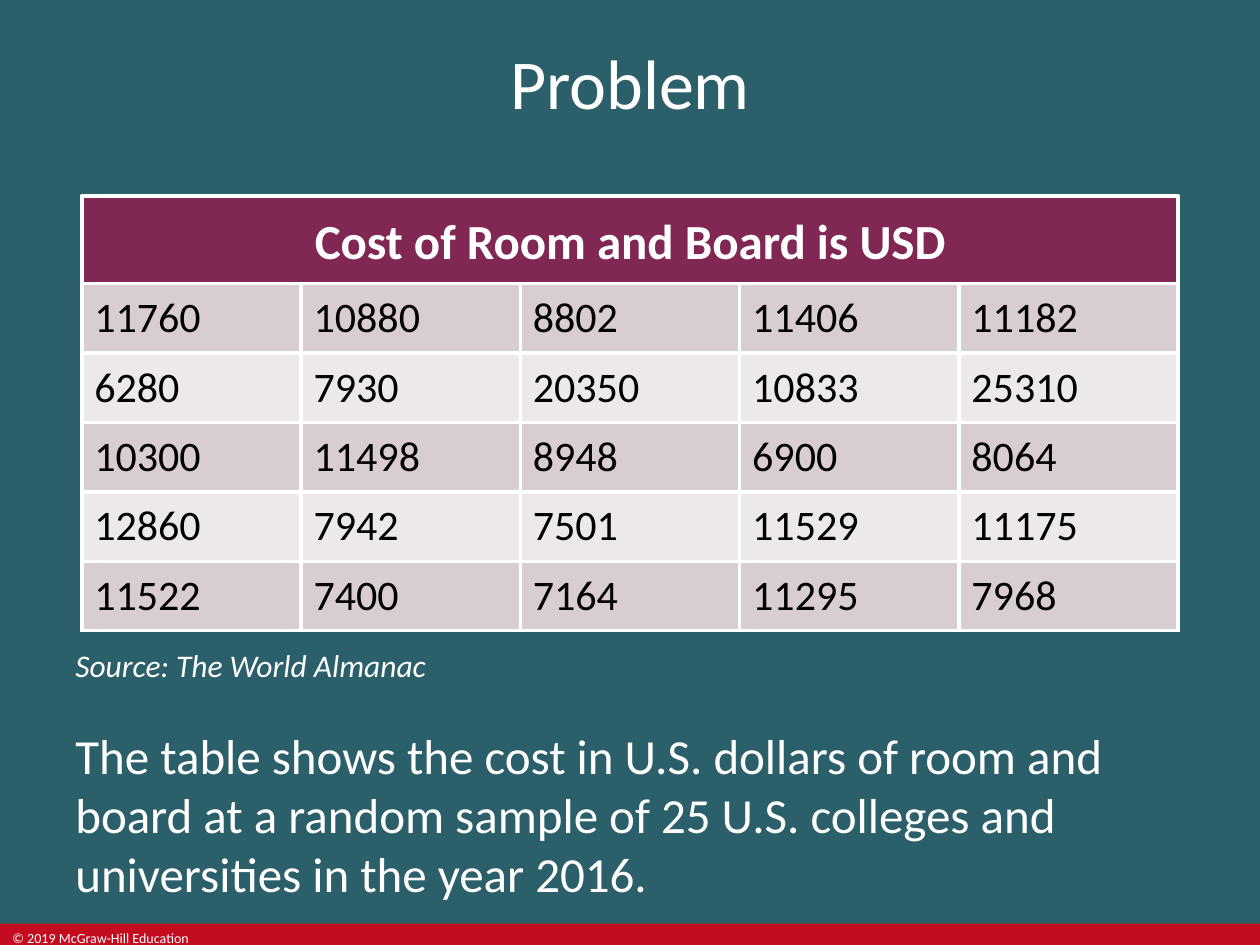
from dataclasses import dataclass

from lxml.etree import SubElement
from pptx import Presentation
from pptx.dml.color import RGBColor
from pptx.enum.shapes import MSO_SHAPE
from pptx.enum.text import MSO_ANCHOR, PP_ALIGN
from pptx.oxml.ns import qn
from pptx.util import Cm, Pt


@dataclass(frozen=True)
class Theme:
    font: str = "Calibri"
    background: str = "2B606A"
    footer: str = "C30C20"
    heading: str = "802754"
    bands: tuple = ("D8CDD1", "EDE8E9")
    light: str = "FFFFFF"
    dark: str = "000000"
    title_size: int = 40
    body_size: int = 28
    cell_size: int = 24
    source_size: int = 18
    copyright_size: int = 8
    border: float = 2.25


class SlideBuilder:
    def __init__(self, slide, theme):
        self.slide = slide
        self.theme = theme
        self.fill(slide.background, theme.background)

    def fill(self, target, color):
        target.fill.solid()
        target.fill.fore_color.rgb = RGBColor.from_string(color)

    def style(self, paragraph, size, color=None, bold=False, italic=False):
        for run in paragraph.runs:
            font = run.font
            font.name = self.theme.font
            font.size = Pt(size)
            font.bold = bold
            font.italic = italic
            font.color.rgb = RGBColor.from_string(color or self.theme.light)

    def text(self, left, top, width, height, content, size, centered=False):
        box = self.slide.shapes.add_textbox(Cm(left), Cm(top), Cm(width), Cm(height))
        frame = box.text_frame
        frame.word_wrap = True
        frame.text = content
        if centered:
            frame.vertical_anchor = MSO_ANCHOR.MIDDLE
        for paragraph in frame.paragraphs:
            paragraph.alignment = PP_ALIGN.CENTER if centered else PP_ALIGN.LEFT
            self.style(paragraph, size)
        return frame

    def bar(self, left, top, width, height, color, outlined=False, content=""):
        """Draw a filled rectangle, optionally with a border and a bold caption."""
        shape = self.slide.shapes.add_shape(
            MSO_SHAPE.RECTANGLE, Cm(left), Cm(top), Cm(width), Cm(height))
        shape.shadow.inherit = False
        self.fill(shape, color)
        if outlined:
            self.fill(shape.line, self.theme.light)
            shape.line.width = Pt(self.theme.border)
        else:
            shape.line.fill.background()
        if content:
            frame = shape.text_frame
            frame.text = content
            frame.vertical_anchor = MSO_ANCHOR.MIDDLE
            frame.paragraphs[0].alignment = PP_ALIGN.CENTER
            self.style(frame.paragraphs[0], self.theme.body_size, bold=True)

    def table(self, left, top, column_width, row_height, values):
        rows, columns = len(values), len(values[0])
        frame = self.slide.shapes.add_table(
            rows, columns, Cm(left), Cm(top),
            Cm(column_width * columns), Cm(row_height * rows))
        table = frame.table
        table.first_row = False
        table.horz_banding = False
        for column in table.columns:
            column.width = Cm(column_width)
        for index, row in enumerate(table.rows):
            row.height = Cm(row_height)
            for cell, value in zip(row.cells, values[index]):
                cell.text_frame.text = str(value)
                cell.vertical_anchor = MSO_ANCHOR.MIDDLE
                self.style(cell.text_frame.paragraphs[0],
                           self.theme.cell_size, self.theme.dark)
                self.cell_borders(cell)
                self.fill(cell, self.theme.bands[index % 2])

    def cell_borders(self, cell):
        properties = cell._tc.get_or_add_tcPr()
        for side in ("a:lnL", "a:lnR", "a:lnT", "a:lnB"):
            line = SubElement(properties, qn(side), w=str(Pt(self.theme.border)))
            solid = SubElement(line, qn("a:solidFill"))
            SubElement(solid, qn("a:srgbClr"), val=self.theme.light)


COSTS = [
    [11760, 10880, 8802, 11406, 11182],
    [6280, 7930, 20350, 10833, 25310],
    [10300, 11498, 8948, 6900, 8064],
    [12860, 7942, 7501, 11529, 11175],
    [11522, 7400, 7164, 11295, 7968],
]


def main():
    presentation = Presentation()
    presentation.slide_width = Cm(25.4)
    presentation.slide_height = Cm(19.05)
    slide = presentation.slides.add_slide(presentation.slide_layouts[6])
    theme = Theme()
    builder = SlideBuilder(slide, theme)

    builder.bar(0, 18.62, 25.4, 0.43, theme.footer)
    builder.text(0, 18.62, 4.32, 0.43, "© 2019 McGraw-Hill Education",
                 theme.copyright_size)
    builder.text(0, 0, 25.4, 3.3, "Problem", theme.title_size, centered=True)

    builder.bar(1.65, 3.95, 22.1, 1.77, theme.heading, outlined=True,
                content="Cost of Room and Board is USD")
    builder.table(1.65, 5.72, 4.42, 1.4, COSTS)

    notes = builder.text(
        1.27, 12.9, 22.86, 5.33,
        "Source: The World Almanac\n"
        "The table shows the cost in U.S. dollars of room and board at a random "
        "sample of 25 U.S. colleges and universities in the year 2016.",
        theme.body_size)
    source, description = notes.paragraphs
    builder.style(source, theme.source_size, italic=True)
    source.space_after = Pt(12)
    description.space_before = Pt(12)

    presentation.save("out.pptx")


if __name__ == "__main__":
    main()
